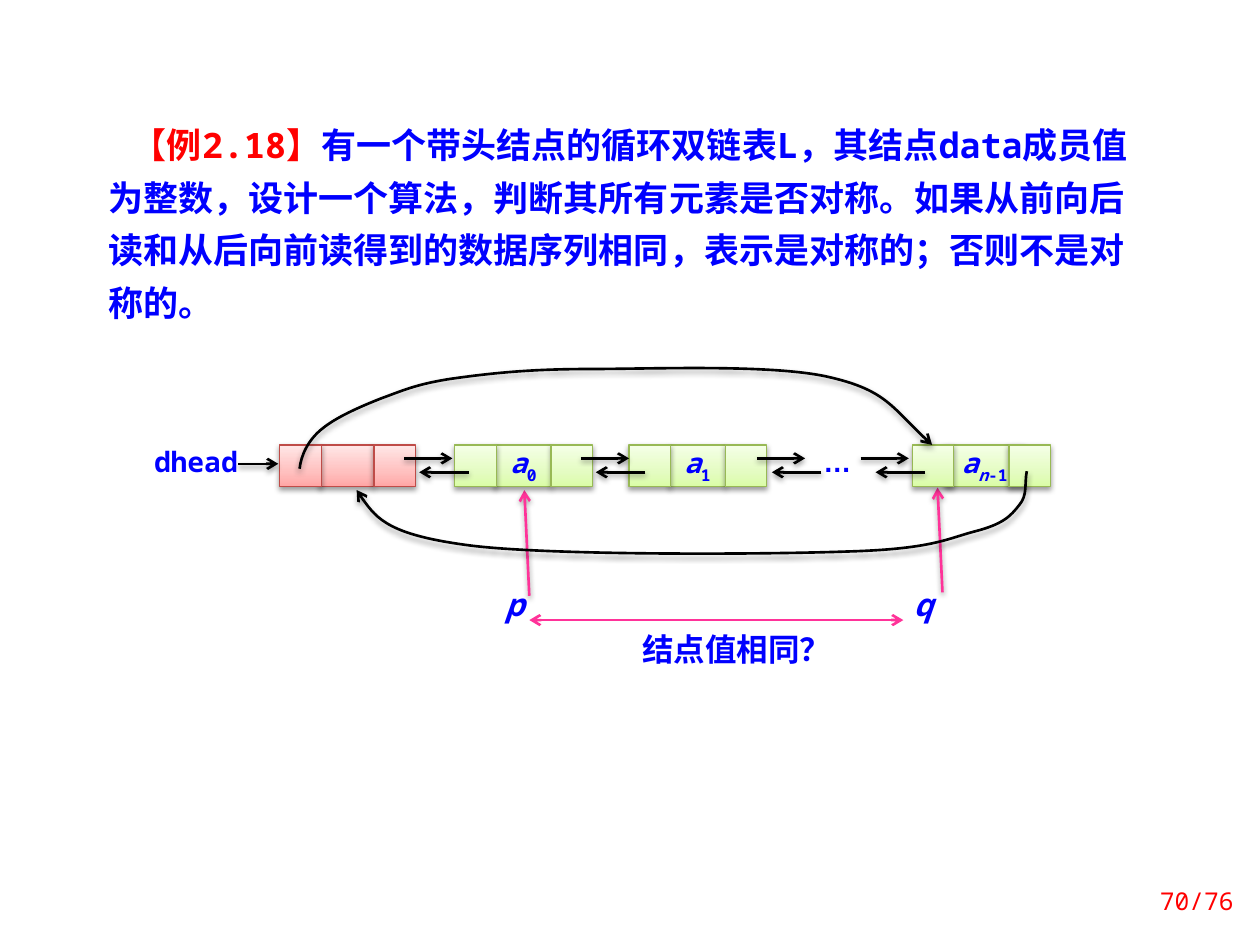
import pptx
import pptx.util
import pptx.oxml
import pptx.dml.color
import pptx.enum.shapes
import pptx.enum.text
from pptx.oxml.ns import nsdecls, qn

Cm, Pt = pptx.util.Cm, pptx.util.Pt
RGBColor = pptx.dml.color.RGBColor
ALIGN = pptx.enum.text.PP_ALIGN
ANCHOR = pptx.enum.text.MSO_ANCHOR
RECT = pptx.enum.shapes.MSO_SHAPE.RECTANGLE
STRAIGHT = pptx.enum.shapes.MSO_CONNECTOR.STRAIGHT

BLUE = RGBColor(0x00, 0x00, 0xFF)
RED = RGBColor(0xFF, 0x00, 0x00)
PINK = RGBColor(0xFF, 0x33, 0x99)
BLACK = RGBColor(0x00, 0x00, 0x00)
HEAD_LINE = RGBColor(0xBF, 0x4C, 0x48)
NODE_LINE = RGBColor(0x98, 0xB9, 0x55)
HEAD_FILL = [RGBColor(0xFF, 0xA6, 0xA5), RGBColor(0xFF, 0xC0, 0xBF), RGBColor(0xFF, 0xE7, 0xE7)]
NODE_FILL = [RGBColor(0xDA, 0xFD, 0xA7), RGBColor(0xE4, 0xFC, 0xC2), RGBColor(0xF5, 0xFF, 0xE7)]
MONO, CJK = "Noto Sans Mono", "Noto Sans CJK SC"

CELL = 0.84       # side of a pointer cell, in cm
NODE_TOP = 1.63   # top of the nodes within the list diagram, in cm


def xml(text):
    return pptx.oxml.parse_xml(text.replace(">", f" {nsdecls('a')}>", 1))


def write(p, text, size=16, color=BLUE, font=MONO, east=CJK, bold=True, italic=False, sub=False):
    r = p.add_run()
    r.text = text
    r.font.size, r.font.bold, r.font.italic = Pt(size), bold, italic
    r.font.color.rgb = color
    r.font.name = font
    rPr = r._r.get_or_add_rPr()
    rPr.find(qn("a:latin")).addnext(xml(f'<a:ea typeface="{east}"></a:ea>'))
    if sub:
        rPr.set("baseline", "-30000")


def set_insets(tf, left, top, right, bottom):
    tf.margin_left, tf.margin_top = Cm(left), Cm(top)
    tf.margin_right, tf.margin_bottom = Cm(right), Cm(bottom)


def add_label(s, x, y, w, h, text, align=ALIGN.CENTER, insets=(0.25, 0.13, 0.25, 0.13),
              spacing=None, anchor=ANCHOR.TOP, **fmt):
    tf = s.shapes.add_textbox(Cm(x), Cm(y), Cm(w), Cm(h)).text_frame
    tf.word_wrap, tf.vertical_anchor = True, anchor
    set_insets(tf, *insets)
    p = tf.paragraphs[0]
    p.alignment, p.line_spacing = align, spacing
    write(p, text, **fmt)


def set_effect(shape, shadow=True):
    effect = xml("<a:effectLst></a:effectLst>")
    if shadow:
        effect.append(xml('<a:outerShdw blurRad="39370" dist="20320" dir="5400000" rotWithShape="0">'
                          '<a:srgbClr val="000000"><a:alpha val="38000"/></a:srgbClr></a:outerShdw>'))
    shape._element.spPr.append(effect)


def set_line(shape, color, both=False):
    shape.line.color.rgb, shape.line.width = color, Pt(1.5)
    ln = shape.line._get_or_add_ln()
    for end in (["headEnd"] if both else []) + ["tailEnd"]:
        ln.append(xml(f'<a:{end} type="arrow"></a:{end}>'))


def add_arrow(s, x1, y1, x2, y2, color=BLACK, both=False):
    c = s.shapes.add_connector(STRAIGHT, Cm(x1), Cm(y1), Cm(x2), Cm(y2))
    set_line(c, color, both)
    set_effect(c, shadow=not both)


def add_curve(s, x, y, points):
    """Arrowed chain of cubic curves: a start, then three points for each piece."""
    pts = [(Cm(x + px), Cm(y + py)) for px, py in points]
    fb = s.shapes.build_freeform(*pts[0])
    fb.add_line_segments(pts[1:], close=False)
    sp = fb.convert_to_shape()
    path = sp._element.find(".//" + qn("a:path"))
    steps = path.findall(qn("a:lnTo"))
    for i in range(0, len(steps), 3):
        curve = xml("<a:cubicBezTo></a:cubicBezTo>")
        for step in steps[i:i + 3]:
            curve.append(step[0])
            path.remove(step)
        path.append(curve)
    sp.fill.background()
    set_line(sp, BLACK)
    set_effect(sp)


def add_cell(s, x, y, w, colors, line):
    sp = s.shapes.add_shape(RECT, Cm(x), Cm(y), Cm(w), Cm(CELL))
    stops = "".join(f'<a:gs pos="{pos}"><a:srgbClr val="{c}"/></a:gs>'
                    for pos, c in zip((0, 35000, 100000), colors))
    sp._element.spPr.append(xml(f'<a:gradFill rotWithShape="1"><a:gsLst>{stops}</a:gsLst>'
                                '<a:lin ang="16200000" scaled="1"/></a:gradFill>'))
    sp.line.color.rgb, sp.line.width = line, Pt(0.75)
    set_effect(sp)
    return sp


def add_node(s, x, y, runs=(), colors=NODE_FILL, line=NODE_LINE, data=(0.81, 1.14), last=1.94):
    """Data cell between two pointer cells; runs are (text, format) pairs."""
    sp = add_cell(s, x + data[0], y, data[1], colors, line)
    add_cell(s, x + last, y, CELL, colors, line)
    add_cell(s, x, y, CELL, colors, line)
    tf = sp.text_frame
    set_insets(tf, 0.25, 0, 0.25, 0)
    tf.vertical_anchor = ANCHOR.TOP
    p = tf.paragraphs[0]
    p.alignment, p.line_spacing = ALIGN.CENTER, Pt(23)
    for text, fmt in runs:
        write(p, text, **fmt)


def problem_text(s, x, y, w, h):
    sp = s.placeholders[1]
    sp.left, sp.top, sp.width, sp.height = Cm(x), Cm(y), Cm(w), Cm(h)
    tf = sp.text_frame
    tf.auto_size = pptx.enum.text.MSO_AUTO_SIZE.NONE
    set_insets(tf, 0.4, 0.3, 0.25, 0.3)
    p = tf.paragraphs[0]
    pPr = p._p.get_or_add_pPr()
    pPr.set("marL", "0")
    pPr.set("indent", str(Cm(0.48)))
    pPr.append(xml("<a:buNone></a:buNone>"))
    p.line_spacing, p.space_before = Pt(30), Pt(0)
    write(p, "【例2.18】", size=20, color=RED)
    write(p, "有一个带头结点的循环双链表L，其结点data成员值为整数，设计一个算法，判断其所有元素"
             "是否对称。如果从前向后读和从后向前读得到的数据序列相同，表示是对称的；否则不是对称的。", size=20)


def pointer_marks(s, x, y):
    for name, dx, w, tip, base in (("p", 0, 1.4, 0.05, 2.18), ("q", 8.33, 1.2, 0, 2.11)):
        add_label(s, x + dx, y + 1.98, w, 0.89, name, size=18, italic=True, spacing=0.8)
        add_arrow(s, x + dx + 0.99, y + base, x + dx + 0.89, y + tip, PINK)
    add_arrow(s, x + 0.99, y + 2.67, x + 8.53, y + 2.67, PINK, both=True)
    add_label(s, x + 2.97, y + 2.74, 3.76, 1.02, "结点值相同？", size=18, font=CJK)


def linked_list(s, x, y):
    top = y + NODE_TOP
    # Labels and nodes
    add_label(s, x, top, 2.16, CELL, "dhead", insets=(0.05, 0, 0.25, 0))
    add_label(s, x + 13.26, top, 1.3, CELL, "…", insets=(0.25, 0, 0.25, 0), font="Arial", east="Arial")
    a = ("a", {"italic": True})
    add_node(s, x + 2.67, top, colors=HEAD_FILL, line=HEAD_LINE, data=(0.81, 1.09), last=1.9)
    for i in range(2):
        add_node(s, x + 6.2 + 3.51 * i, top, [a, (str(i), {"sub": True})])
    add_node(s, x + 15.42, top, [a, ("n", {"italic": True, "sub": True}), ("-1", {"sub": True})],
             data=(0.66, 1.6), last=1.95)
    # Links between neighbours, forward above backward
    add_arrow(s, x + 1.83, y + 2.01, x + 2.64, y + 2.01)
    for dx in (5.18, 8.74, 12.29, 14.38):
        add_arrow(s, x + dx, y + 1.9, x + dx + 0.97, y + 1.9)
        add_arrow(s, x + dx + 1.3, y + 2.18, x + dx + 0.3, y + 2.18)
    # Circular links: last to head, then head to last
    add_curve(s, x, y, [
        (17.73, 2.16), (17.68, 2.41), (17.75, 2.64), (17.58, 2.84),
        (17.4, 3.07), (17.25, 3.23), (16.66, 3.38), (16.1, 3.53), (15.8, 3.73), (14.1, 3.78),
        (12.4, 3.84), (8.15, 3.86), (6.53, 3.66), (4.88, 3.45), (4.52, 3.02), (4.22, 2.54)])
    add_curve(s, x, y, [
        (3.07, 2.11), (3.1, 1.83), (3.25, 1.52), (3.53, 1.3),
        (3.81, 1.07), (4.29, 0.86), (4.72, 0.69), (5.16, 0.53), (5.41, 0.41), (6.1, 0.3),
        (6.81, 0.2), (7.62, 0.1), (8.89, 0.1), (10.16, 0.1), (12.52, 0), (13.69, 0.25),
        (14.86, 0.51), (15.01, 0.89), (15.82, 1.63)])


def main():
    prs = pptx.Presentation()
    prs.slide_width, prs.slide_height = Cm(25.4), Cm(19.05)
    s = prs.slides.add_slide(prs.slide_layouts[1])
    title = s.shapes.title._element
    title.getparent().remove(title)
    problem_text(s, 1.78, 1.98, 21.44, 4.78)
    pointer_marks(s, 9.68, 9.83)
    linked_list(s, 2.97, 7.34)
    # Page number
    add_label(s, 22.81, 17.65, 2.31, 1.02, "70/76", align=ALIGN.RIGHT, anchor=ANCHOR.MIDDLE,
              size=14, color=RED, bold=False)
    prs.save("out.pptx")


if __name__ == "__main__":
    main()
